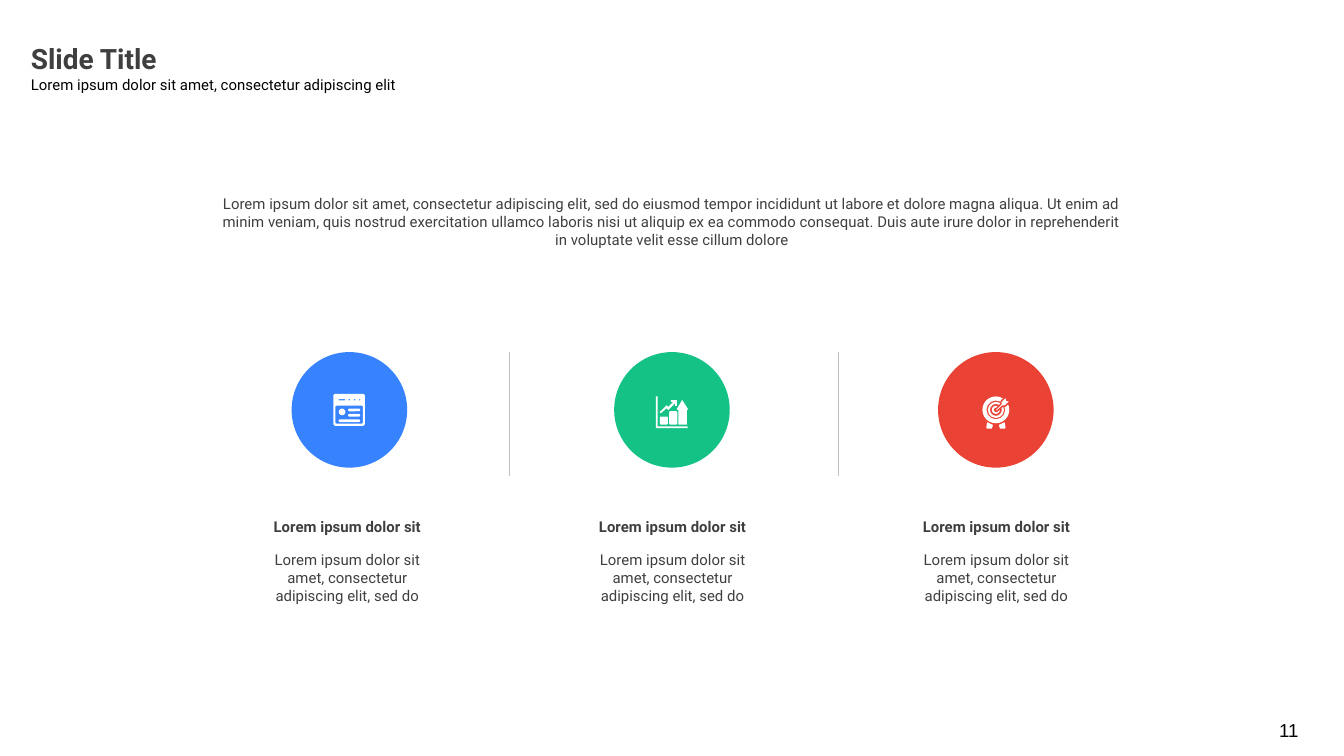
from dataclasses import dataclass

from lxml import etree
from pptx import Presentation
from pptx import util as u
from pptx.dml.color import RGBColor
from pptx.enum import shapes, text

Kind = shapes.MSO_SHAPE
Align = text.PP_ALIGN


@dataclass(frozen=True)
class Theme:
    """Colours, fonts and type sizes of the slide."""
    ink: str = "3F3F3F"
    black: str = "000000"
    white: str = "FFFFFF"
    rule: str = "BFBFBF"
    blue: str = "3783FF"
    green: str = "15C286"
    red: str = "EA4335"
    font: str = "Roboto"
    number_font: str = "Arial"
    title_size: float = 15
    body_size: float = 8
    number_size: float = 10


THEME = Theme()


def rgb(color):
    """Turn a hex string into a colour."""
    return RGBColor.from_string(color)


def add_text(slide, box, content, size=THEME.body_size, color=THEME.ink, bold=False,
             align=Align.LEFT, font=THEME.font, inset=(0.07, 0.04),
             anchor=text.MSO_ANCHOR.TOP):
    """Add a wrapped one-paragraph text box."""
    frame = slide.shapes.add_textbox(*map(u.Inches, box)).text_frame
    frame.word_wrap = True
    frame.vertical_anchor = anchor
    frame.margin_left = frame.margin_right = u.Inches(inset[0])
    frame.margin_top = frame.margin_bottom = u.Inches(inset[1])
    frame.text = content
    paragraph = frame.paragraphs[0]
    paragraph.alignment = align
    for run in paragraph.runs:
        run.font.name, run.font.size, run.font.bold = font, u.Pt(size), bold
        run.font.color.rgb = rgb(color)


def paint(shape, color):
    """Give a shape a flat fill without line or shadow."""
    shape.shadow.inherit = False
    shape.fill.solid()
    shape.fill.fore_color.rgb = rgb(color)
    shape.line.fill.background()
    return shape


def add_shape(slide, kind, box, color, adjustment=None):
    """Add a flat preset shape."""
    shape = slide.shapes.add_shape(kind, *map(u.Inches, box))
    if adjustment is not None:
        shape.adjustments[0] = adjustment
    return paint(shape, color)


def add_outline(slide, left, top, points, color, holes=()):
    """Add a closed polygon with holes, in thousandths of an inch."""
    builder = slide.shapes.build_freeform(*points[0], scale=914.4)
    builder.add_line_segments(points[1:], close=True)
    for hole in holes:
        builder.move_to(*hole[0])
        builder.add_line_segments(hole[1:], close=True)
    return paint(builder.convert_to_shape(u.Inches(left), u.Inches(top)), color)


def chamfered(x, y, width, height, cut):
    """List the points of a rectangle with cut corners."""
    right, bottom = x + width, y + height
    return [(x + cut, y), (right - cut, y), (right, y + cut), (right, bottom - cut),
            (right - cut, bottom), (x + cut, bottom), (x, bottom - cut), (x, y + cut)]


def draw_page_icon(slide, left, top, accent):
    """Draw a browser page with a profile entry."""
    pane = chamfered(16, 88, 204, 134, 6)
    marks = [chamfered(x, 40, width, 10, 3)
             for x, width in ((40, 50), (113, 12), (152, 12), (190, 12))]
    holes = [hole[::-1] for hole in (pane, *marks)]
    add_outline(slide, left, top, chamfered(0, 0, 236, 238, 12), THEME.white, holes)
    add_shape(slide, Kind.OVAL, (left + 0.04, top + 0.11, 0.05, 0.05), THEME.white)
    for x, y, width in ((0.11, 0.11, 0.09), (0.11, 0.15, 0.09), (0.04, 0.19, 0.16)):
        add_shape(slide, Kind.ROUNDED_RECTANGLE, (left + x, top + y, width, 0.02),
                  THEME.white, 0.5)


def draw_growth_icon(slide, left, top, accent):
    """Draw a bar chart with a rising trend."""
    axes = [(0, 0), (14, 0), (14, 222), (236, 222), (236, 236), (0, 236)]
    trend = [(28, 116), (80, 66), (93, 77), (130, 40), (112, 40), (112, 27), (156, 27),
             (156, 70), (143, 70), (143, 51), (93, 100), (80, 88), (37, 125)]
    arrow = [(196, 26), (240, 95), (231, 102), (231, 210), (168, 210), (168, 102), (155, 95)]
    for points in (axes, trend, arrow):
        add_outline(slide, left, top, points, THEME.white)
    for x, y, height in ((0.03, 0.15, 0.06), (0.1, 0.11, 0.1)):
        add_shape(slide, Kind.ROUNDED_RECTANGLE, (left + x, top + y, 0.06, height),
                  THEME.white, 0.15)


def draw_target_icon(slide, left, top, accent):
    """Draw a target on feet with an arrow in its centre."""
    for x, width, thickness in ((0, 0.2, 0.15), (0.04, 0.12, 0.13), (0.07, 0.06, 0.25)):
        add_shape(slide, Kind.DONUT, (left + x, top + x, width, width), THEME.white, thickness)
    left_foot = [(35, 192), (78, 212), (70, 240), (35, 240), (28, 232)]
    right_foot = [(200 - x, y) for x, y in left_foot]
    arrow = [(93, 100), (138, 56), (138, 38), (174, 0), (181, 28),
             (208, 33), (170, 72), (150, 72), (105, 113)]
    for foot in (left_foot, right_foot):
        add_outline(slide, left, top, foot, THEME.white)
    dart = add_outline(slide, left, top, arrow, THEME.white)
    dart.line.color.rgb = rgb(accent)
    dart.line.width = u.Pt(0.75)


def add_header(slide, left, top, width):
    """Place the title and its subtitle."""
    add_text(slide, (left, top + 0.25, width, 0.21),
             "Lorem ipsum dolor sit amet, consectetur adipiscing elit", color=THEME.black)
    add_text(slide, (left, top, width, 0.33), "Slide Title", THEME.title_size, bold=True)


def add_intro(slide, box):
    """Place the centred introduction."""
    add_text(slide, box,
             "Lorem ipsum dolor sit amet, consectetur adipiscing elit, sed do eiusmod tempor "
             "incididunt ut labore et dolore magna aliqua. Ut enim ad minim veniam, quis nostrud "
             "exercitation ullamco laboris nisi ut aliquip ex ea commodo consequat. Duis aute "
             "irure dolor in reprehenderit in voluptate velit esse cillum dolore",
             align=Align.CENTER)


def add_badge(slide, left, top, accent, draw_icon, icon_offset):
    """Place a coloured circle with its icon."""
    add_shape(slide, Kind.OVAL, (left, top, 0.86, 0.86), accent)
    draw_icon(slide, left + icon_offset[0], top + icon_offset[1], accent)


def add_caption(slide, left, top, width):
    """Place a heading and the text under it."""
    add_text(slide, (left, top + 0.25, width, 0.49),
             "Lorem ipsum dolor sit amet, consectetur adipiscing elit, sed do",
             align=Align.CENTER)
    add_text(slide, (left, top, width, 0.21), "Lorem ipsum dolor sit",
             bold=True, align=Align.CENTER)


def add_divider(slide, x, top, height):
    """Place a thin vertical rule."""
    line = slide.shapes.add_connector(shapes.MSO_CONNECTOR.STRAIGHT,
                                      *map(u.Inches, (x, top, x, top + height)))
    line.line.color.rgb = rgb(THEME.rule)
    line.line.width = u.Pt(0.75)
    properties = line._element.spPr
    etree.SubElement(properties, f"{{{properties.nsmap['a']}}}effectLst")


def add_features(slide, top):
    """Place the three feature columns and the rules between them."""
    features = [
        (2.17, 1.83, THEME.blue, draw_page_icon, (0.31, 0.31)),
        (4.57, 4.25, THEME.green, draw_growth_icon, (0.31, 0.33)),
        (6.98, 6.66, THEME.red, draw_target_icon, (0.33, 0.33)),
    ]
    for badge_left, caption_left, accent, draw_icon, icon_offset in features:
        add_badge(slide, badge_left, top, accent, draw_icon, icon_offset)
        add_caption(slide, caption_left, top + 1.19, 1.51)
    for x in (3.79, 6.24):
        add_divider(slide, x, top, 0.92)


def add_page_number(slide, box):
    """Place the slide number."""
    add_text(slide, box, "11", THEME.number_size, THEME.black, align=Align.RIGHT,
             font=THEME.number_font, inset=(0.1, 0.1), anchor=text.MSO_ANCHOR.MIDDLE)


def main():
    """Build the slide and save it."""
    presentation = Presentation()
    presentation.slide_width = u.Inches(10)
    presentation.slide_height = presentation.slide_width * 9 // 16
    slide = presentation.slides.add_slide(presentation.slide_layouts[6])
    add_header(slide, 0.16, 0.27, 5.33)
    add_features(slide, 2.62)
    add_intro(slide, (1.54, 1.41, 6.92, 0.49))
    add_page_number(slide, (9.36, 5.25, 0.4, 0.37))
    presentation.save("out.pptx")


if __name__ == "__main__":
    main()
